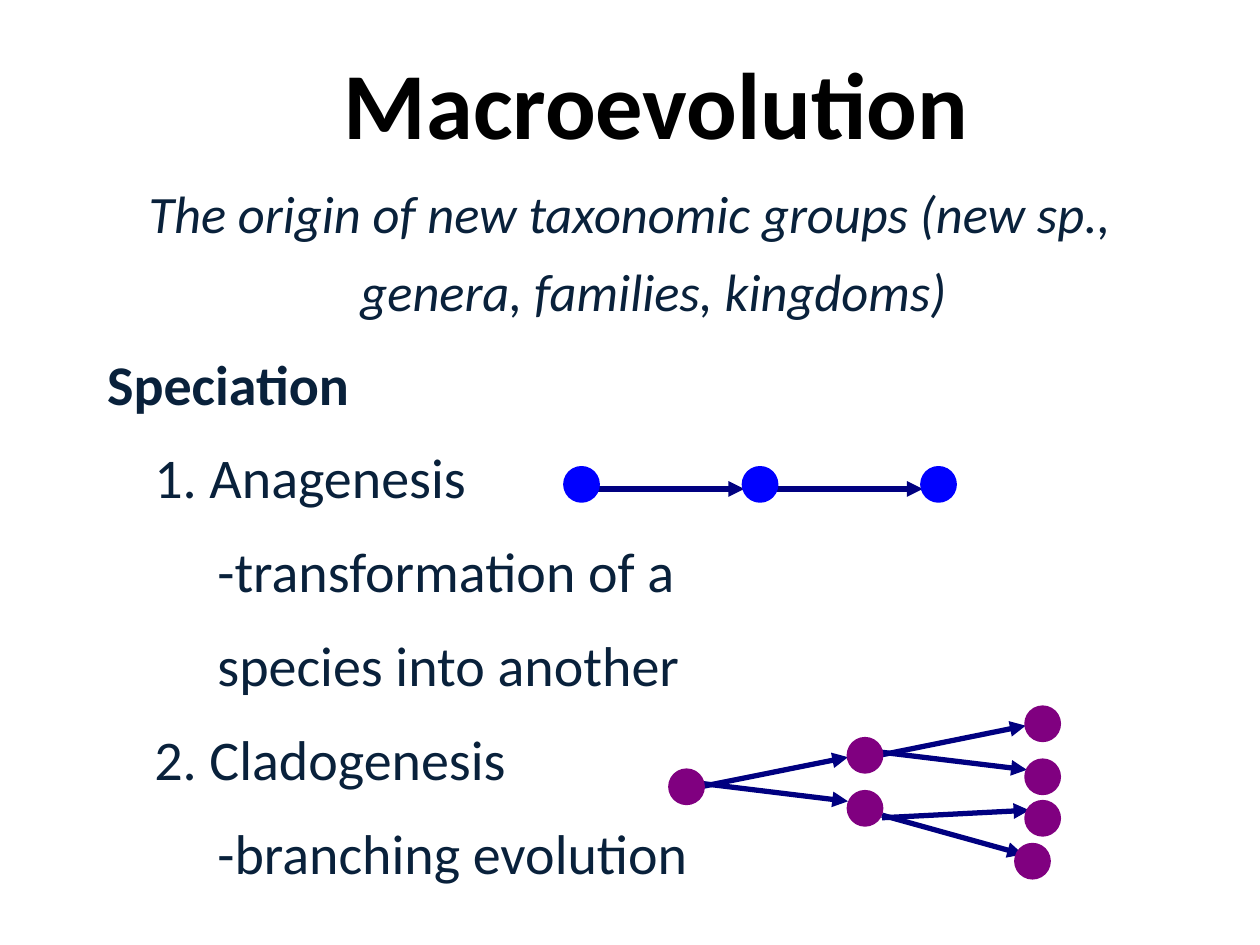
from lxml.etree import SubElement
from pptx import Presentation
from pptx.dml.color import RGBColor
from pptx.enum.shapes import MSO_CONNECTOR, MSO_SHAPE
from pptx.enum.text import MSO_ANCHOR, MSO_AUTO_SIZE, PP_ALIGN
from pptx.oxml.ns import qn
from pptx.util import Pt

COLORS = {"title": "000000", "text": "09213B", "arrow": "000080",
          "anagenesis": "0000FF", "cladogenesis": "800080"}
DOT = 18

# text, size, bold, italic, left margin, first-line indent, alignment
BODY = [
    ("The origin of new taxonomic groups (new sp., genera, families, kingdoms)",
     30, False, True, 27, -27, PP_ALIGN.CENTER),
    ("Speciation", 32, True, False, 27, -27, PP_ALIGN.LEFT),
    ("1. Anagenesis", 32, False, False, 27, 0, PP_ALIGN.LEFT),
    ("-transformation of a", 32, False, False, 63, 0, PP_ALIGN.LEFT),
    ("species into another", 32, False, False, 63, 0, PP_ALIGN.LEFT),
    ("2. Cladogenesis", 32, False, False, 27, 0, PP_ALIGN.LEFT),
    ("-branching evolution", 32, False, False, 63, 0, PP_ALIGN.LEFT),
]

# left and top of each species
SPECIES = [(383.3, 440.6), (485.3, 422.6), (485.3, 452.9), (586.8, 404.6),
           (586.8, 434.9), (586.8, 458.6), (581, 483.1)]
# x and y of the start, then of the arrowhead
BRANCHES = [(401.8, 449.3, 484.6, 432.7), (401.8, 447.8, 484.6, 457.9),
            (504, 431.3, 586.1, 414.7), (503.3, 429.8, 586.8, 439.9),
            (504, 467.3, 588.2, 463), (504, 465.8, 584.6, 488.2)]


class SlideBuilder:
    font = "Calibri"
    line_width = Pt(3)

    def __init__(self, prs):
        self.s = prs.slides.add_slide(prs.slide_layouts[1])

    def color(self, name):
        return RGBColor.from_string(COLORS[name])

    def place(self, sp, left, top, width, height):
        sp.left, sp.top, sp.width, sp.height = map(Pt, (left, top, width, height))
        sp.text_frame.auto_size = MSO_AUTO_SIZE.NONE
        sp.text_frame.word_wrap = True
        return sp.text_frame

    def format_run(self, p, size, color, bold, italic=False):
        f = p.runs[0].font
        f.name, f.size, f.bold, f.italic = self.font, Pt(size), bold, italic
        f.color.rgb = self.color(color)

    def title(self, text, *box):
        tf = self.place(self.s.shapes.title, *box)
        tf.text = text
        tf.vertical_anchor = MSO_ANCHOR.MIDDLE
        tf.paragraphs[0].alignment = PP_ALIGN.CENTER
        self.format_run(tf.paragraphs[0], 54, "title", True)

    def body(self, items, *box):
        tf = self.place(self.s.placeholders[1], *box)
        tf.text = "\n".join(item[0] for item in items)
        for p, (_, size, bold, italic, margin, indent, align) in zip(tf.paragraphs, items):
            p.alignment = align
            p.line_spacing = 1.25
            p.space_before = Pt(5.6)
            pPr = p._p.get_or_add_pPr()
            pPr.set("marL", str(Pt(margin)))
            pPr.set("indent", str(Pt(indent)))
            SubElement(pPr, qn("a:buNone"))
            self.format_run(p, size, "text", bold, italic)

    def dot(self, left, top, color):
        sp = self.s.shapes.add_shape(MSO_SHAPE.OVAL, Pt(left), Pt(top), Pt(DOT), Pt(DOT))
        sp.shadow.inherit = False
        sp.fill.solid()
        sp.fill.fore_color.rgb = sp.line.color.rgb = self.color(color)
        sp.line.width = self.line_width

    def arrow(self, x1, y1, x2, y2):
        c = self.s.shapes.add_connector(MSO_CONNECTOR.STRAIGHT, Pt(x1), Pt(y1), Pt(x2), Pt(y2))
        c.line.color.rgb = self.color("arrow")
        c.line.width = self.line_width
        SubElement(c.line._get_or_add_ln(), qn("a:tailEnd"), type="triangle")
        SubElement(c._element.spPr, qn("a:effectLst"))


def main():
    prs = Presentation()
    prs.slide_width, prs.slide_height = Pt(720), Pt(540)
    slide = SlideBuilder(prs)
    slide.title("Macroevolution", 54, 13, 642, 90)
    slide.body(BODY, 54, 90.7, 612, 414)

    left, top, step = 323.3, 267.8, 102
    for i in range(2):
        x = left + i * step
        slide.arrow(x + DOT, 279.4, x + step, 279.4)
    for i in range(3):
        slide.dot(left + i * step, top, "anagenesis")

    for branch in BRANCHES:
        slide.arrow(*branch)
    for x, y in SPECIES:
        slide.dot(x, y, "cladogenesis")

    prs.save("out.pptx")


if __name__ == "__main__":
    main()
